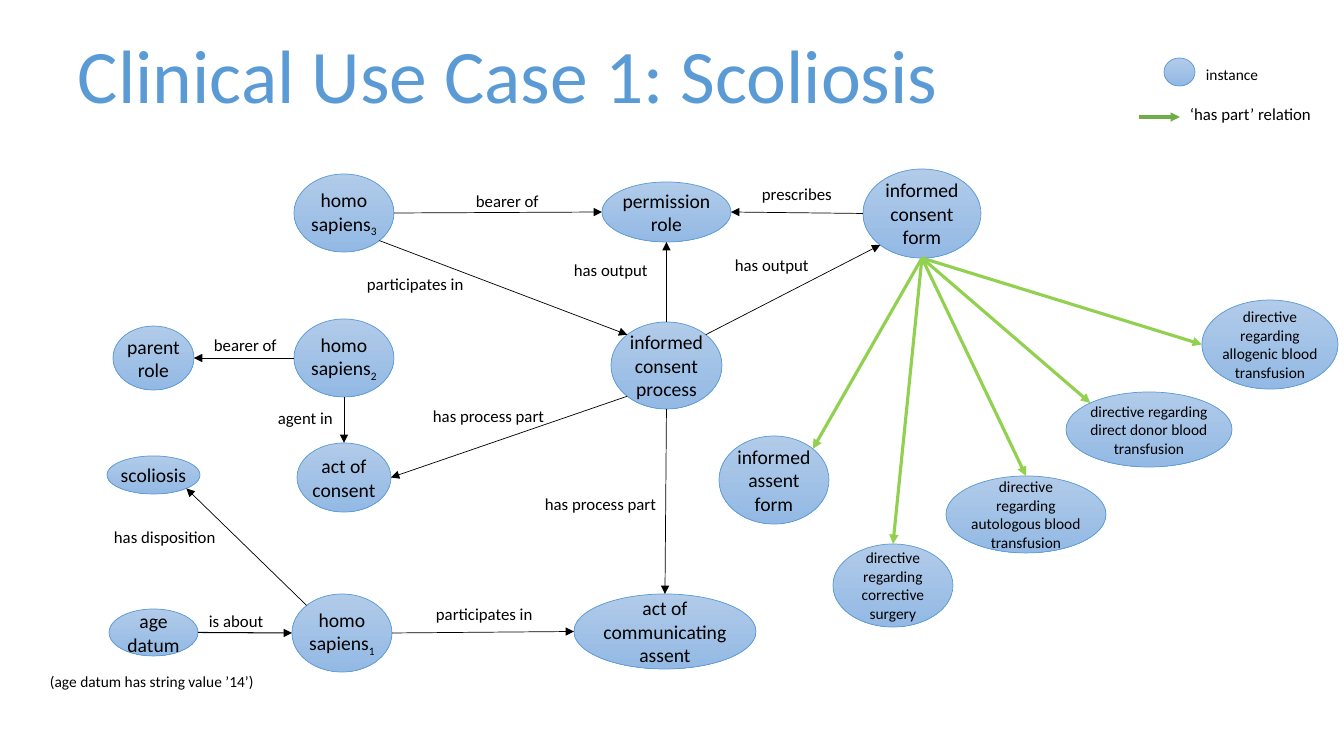
"""Build the slide that maps the scoliosis consent case as instances and relations."""
import math
import pptx
import pptx.util
import pptx.dml.color
import pptx.enum.shapes
import pptx.enum.text
import pptx.oxml.ns
import lxml.etree

PIXEL = 914400 / 100.8
BLACK = pptx.dml.color.RGBColor(0x00, 0x00, 0x00)
BLUE = pptx.dml.color.RGBColor(0x5B, 0x9B, 0xD5)
LIGHT_BLUE = pptx.dml.color.RGBColor(0xB1, 0xCB, 0xE9)
MID_BLUE = pptx.dml.color.RGBColor(0x93, 0xB9, 0xE4)
LIME = pptx.dml.color.RGBColor(0x92, 0xD0, 0x50)
GREEN = pptx.dml.color.RGBColor(0x70, 0xAD, 0x47)


def add_span(para, text, size, color):
    """Append one styled run to a paragraph."""
    span = para.add_run()
    span.text = text
    span.font.name = "Calibri"
    span.font.size = pptx.util.Pt(size)
    span.font.color.rgb = color
    return span


def add_arrow(start, end, color, weight):
    """Draw a straight arrow between two points in EMU."""
    arrow = page.shapes.add_connector(
        pptx.enum.shapes.MSO_CONNECTOR.STRAIGHT, *(round(value) for value in (*start, *end)))
    arrow.line.color.rgb = color
    arrow.line.width = pptx.util.Pt(weight)
    outline = arrow.line._get_or_add_ln()
    lxml.etree.SubElement(outline, pptx.oxml.ns.qn("a:tailEnd"), type="triangle")
    lxml.etree.SubElement(arrow._element.spPr, pptx.oxml.ns.qn("a:effectLst"))


deck = pptx.Presentation()
deck.slide_width = round(1344 * PIXEL)
deck.slide_height = round(756 * PIXEL)
page = deck.slides.add_slide(deck.slide_layouts[6])

nodes = [
    ("patient", "homo sapiens", "1", 14, 292, 594, 100, 78),
    ("parent", "homo sapiens", "2", 14, 294, 319, 100, 78),
    ("clinician", "homo sapiens", "3", 14, 294, 174, 100, 78),
    ("form", "informed consent form", "", 14, 863, 169, 118, 89),
    ("process", "informed consent process", "", 14, 611, 322, 111, 87),
    ("parent role", "parent role", "", 14, 113, 326, 81, 64),
    ("permission", "permission role", "", 14, 602, 182, 129, 60),
    ("consent", "act of consent", "", 14, 297, 443, 94, 69),
    ("communicating", "act of communicating assent", "", 14, 574, 594, 182, 75),
    ("assent form", "informed assent form", "", 14, 719, 436, 110, 88),
    ("scoliosis", "scoliosis", "", 14, 107, 456, 93, 38),
    ("age", "age datum", "", 14, 109, 609, 89, 47),
    ("allogenic", "directive regarding allogenic blood transfusion", "", 11, 1202, 300, 136, 89),
    ("donor", "directive regarding direct donor blood transfusion", "", 11, 1066, 392, 166, 75),
    ("autologous", "directive regarding autologous blood transfusion", "", 11, 946, 476, 160, 77),
    ("corrective", "directive regarding corrective surgery", "", 11, 833, 544, 120, 83),
    ("legend", "", "", 11, 1164, 58, 31, 28),
]
ellipses = {}
for name, text, subscript, size, *bounds in nodes:
    ellipse = page.shapes.add_shape(
        pptx.enum.shapes.MSO_SHAPE.OVAL, *(round(value * PIXEL) for value in bounds))
    ellipse.shadow.inherit = False
    ellipse.fill.gradient()
    ellipse.fill.gradient_angle = 270
    for stop, color, position in zip(ellipse.fill.gradient_stops, (LIGHT_BLUE, MID_BLUE), (0, 1)):
        stop.color.rgb = color
        stop.position = position
    ellipse.line.color.rgb = BLUE
    ellipse.line.width = pptx.util.Pt(0.5)
    ellipses[name] = ellipse
    frame = ellipse.text_frame
    frame.word_wrap = True
    frame.vertical_anchor = pptx.enum.text.MSO_ANCHOR.MIDDLE
    frame.margin_left = frame.margin_right = frame.margin_top = frame.margin_bottom = 0
    para = frame.paragraphs[0]
    para.alignment = pptx.enum.text.PP_ALIGN.CENTER
    if text:
        add_span(para, text, size, BLACK)
    if subscript:
        span = add_span(para, subscript, size, BLACK)
        span._r.get_or_add_rPr().set("baseline", "-25000")

angles = {"right": 0, "bottom right": 45, "bottom": 90, "bottom left": 135,
          "left": 180, "top left": 225, "top": 270, "top right": 315}
relations = [
    ("parent", "left", "parent role", "right", BLACK, 0.5),
    ("parent", "bottom", "consent", "top", BLACK, 0.5),
    ("clinician", "right", "permission", "left", BLACK, 0.5),
    ("clinician", "bottom right", "process", "top left", BLACK, 0.5),
    ("process", "top", "permission", "bottom", BLACK, 0.5),
    ("process", "top right", "form", "bottom left", BLACK, 0.5),
    ("process", "bottom left", "consent", "right", BLACK, 0.5),
    ("process", "bottom", "communicating", "top", BLACK, 0.5),
    ("form", "left", "permission", "right", BLACK, 0.5),
    ("patient", "right", "communicating", "left", BLACK, 0.5),
    ("patient", "top left", "scoliosis", "bottom right", BLACK, 0.5),
    ("age", "right", "patient", "left", BLACK, 0.75),
    ("form", "bottom", "assent form", "top right", LIME, 2.25),
    ("form", "bottom", "corrective", "top", LIME, 2.25),
    ("form", "bottom", "autologous", "top", LIME, 2.25),
    ("form", "bottom", "donor", "top left", LIME, 2.25),
    ("form", "bottom", "allogenic", "left", LIME, 2.25),
]
for source, source_side, target, target_side, color, weight in relations:
    ends = []
    for name, side in ((source, source_side), (target, target_side)):
        ellipse = ellipses[name]
        angle = math.radians(angles[side])
        ends.append((ellipse.left + ellipse.width * (1 + math.cos(angle)) / 2,
                     ellipse.top + ellipse.height * (1 + math.sin(angle)) / 2))
    add_arrow(*ends, color, weight)
add_arrow((1139 * PIXEL, 117 * PIXEL), (1180 * PIXEL, 117 * PIXEL), GREEN, 2.25)

labels = [
    ("Clinical Use Case 1: Scoliosis", 54, BLUE, 68, 23, 917, 102),
    ("bearer of", 12, BLACK, 466, 186, 84, 30),
    ("bearer of", 12, BLACK, 204, 330, 84, 30),
    ("prescribes", 12, BLACK, 752, 179, 91, 30),
    ("has output", 12, BLACK, 564, 255, 95, 30),
    ("has output", 12, BLACK, 725, 250, 95, 30),
    ("participates in", 12, BLACK, 357, 269, 118, 30),
    ("participates in", 12, BLACK, 426, 599, 118, 30),
    ("agent in", 12, BLACK, 268, 403, 76, 30),
    ("has process part", 12, BLACK, 423, 401, 133, 30),
    ("has process part", 12, BLACK, 535, 489, 133, 30),
    ("has disposition", 12, BLACK, 104, 522, 123, 30),
    ("is about", 12, BLACK, 199, 606, 76, 30),
    ("(age datum has string value ’14’)", 11, BLACK, 40, 667, 226, 29),
    ("instance", 11, BLACK, 1196, 60, 73, 29),
    ("‘has part’ relation", 12, BLACK, 1180, 99, 143, 30),
]
for text, size, color, *bounds in labels:
    box = page.shapes.add_textbox(*(round(value * PIXEL) for value in bounds))
    box.text_frame.word_wrap = size == 54
    add_span(box.text_frame.paragraphs[0], text, size, color)

deck.save("out.pptx")
